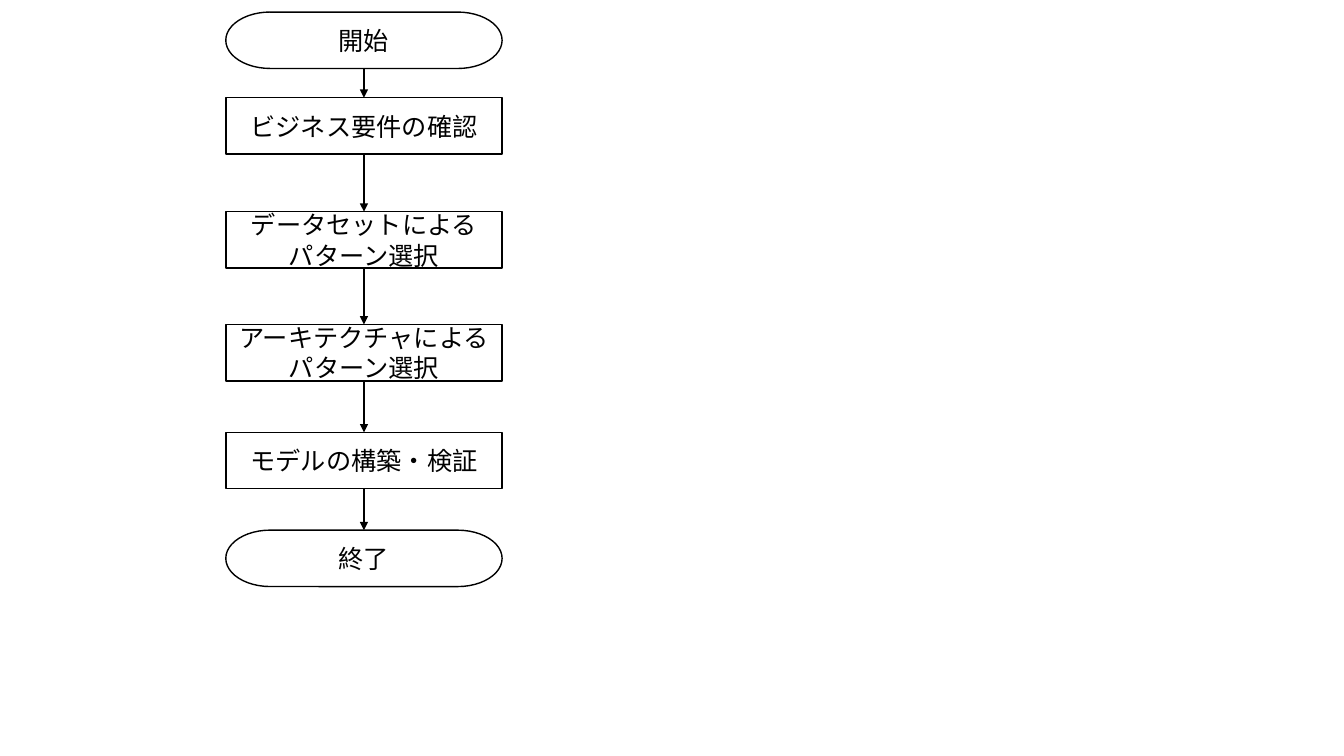
from dataclasses import dataclass
from itertools import pairwise

from pptx import Presentation
from pptx.dml.color import RGBColor
from pptx.enum.shapes import MSO_CONNECTOR as Connector, MSO_SHAPE as Preset
from pptx.enum.text import MSO_ANCHOR as Anchor, PP_ALIGN as Align
from pptx.oxml.ns import qn
from pptx.shapes.autoshape import Shape
from pptx.shapes.group import GroupShape
from pptx.util import Inches, Pt
from lxml.etree import SubElement


@dataclass(frozen=True)
class Theme:
    ink: RGBColor = RGBColor(0, 0, 0)
    paper: RGBColor = RGBColor(255, 255, 255)
    font: str = "Noto Sans CJK JP"
    text_size: Pt = Pt(18)
    line_width: Pt = Pt(1)


@dataclass(frozen=True)
class Step:
    top: float
    lines: tuple[str, ...]
    preset: Preset = Preset.RECTANGLE


THEME = Theme()
STEP_LEFT, STEP_WIDTH, STEP_HEIGHT = Inches(2.24), Inches(2.74), Inches(0.56)
BOTTOM_SITE, TOP_SITE = 2, 0

STEPS = (
    Step(0.12, ("開始",), Preset.FLOWCHART_TERMINATOR),
    Step(0.97, ("ビジネス要件の確認",)),
    Step(2.1, ("データセットによる", "パターン選択")),
    Step(3.22, ("アーキテクチャによるパターン選択",)),
    Step(4.29, ("モデルの構築・検証",)),
    Step(5.26, ("終了",), Preset.FLOWCHART_TERMINATOR),
)


def draw_step(flow: GroupShape, step: Step) -> Shape:
    box = flow.shapes.add_shape(
        step.preset, STEP_LEFT, Inches(step.top), STEP_WIDTH, STEP_HEIGHT
    )
    box.shadow.inherit = False
    box.fill.solid()
    box.fill.fore_color.rgb = THEME.paper
    box.line.color.rgb = THEME.ink
    box.line.width = THEME.line_width
    frame = box.text_frame
    frame.word_wrap = True
    frame.vertical_anchor = Anchor.MIDDLE
    for index, line in enumerate(step.lines):
        para = frame.add_paragraph() if index else frame.paragraphs[0]
        para.alignment = Align.CENTER
        span = para.add_run()
        span.text = line
        span.font.name = THEME.font
        span.font.size = THEME.text_size
        span.font.color.rgb = THEME.ink
        # Japanese glyphs take the East Asian typeface
        SubElement(span.font._element, qn("a:ea"), typeface=THEME.font)
    return box


def draw_arrow(flow: GroupShape, upper: Shape, lower: Shape) -> None:
    center = upper.left + upper.width // 2
    arrow = flow.shapes.add_connector(
        Connector.STRAIGHT, center, upper.top + upper.height, center, lower.top
    )
    arrow.begin_connect(upper, BOTTOM_SITE)
    arrow.end_connect(lower, TOP_SITE)
    arrow.line.color.rgb = THEME.ink
    arrow.line.width = THEME.line_width
    SubElement(arrow.line._get_or_add_ln(), qn("a:tailEnd"), type="triangle")
    SubElement(arrow._element.spPr, qn("a:effectLst"))


# Deck and blank page
deck = Presentation()
deck.slide_width, deck.slide_height = Inches(13.33), Inches(7.5)
page = deck.slides.add_slide(deck.slide_layouts[6])

# Flowchart: steps first, then an arrow between each neighbouring pair
flowchart = page.shapes.add_group_shape()
boxes = [draw_step(flowchart, step) for step in STEPS]
for upper_box, lower_box in pairwise(boxes):
    draw_arrow(flowchart, upper_box, lower_box)

deck.save("out.pptx")
